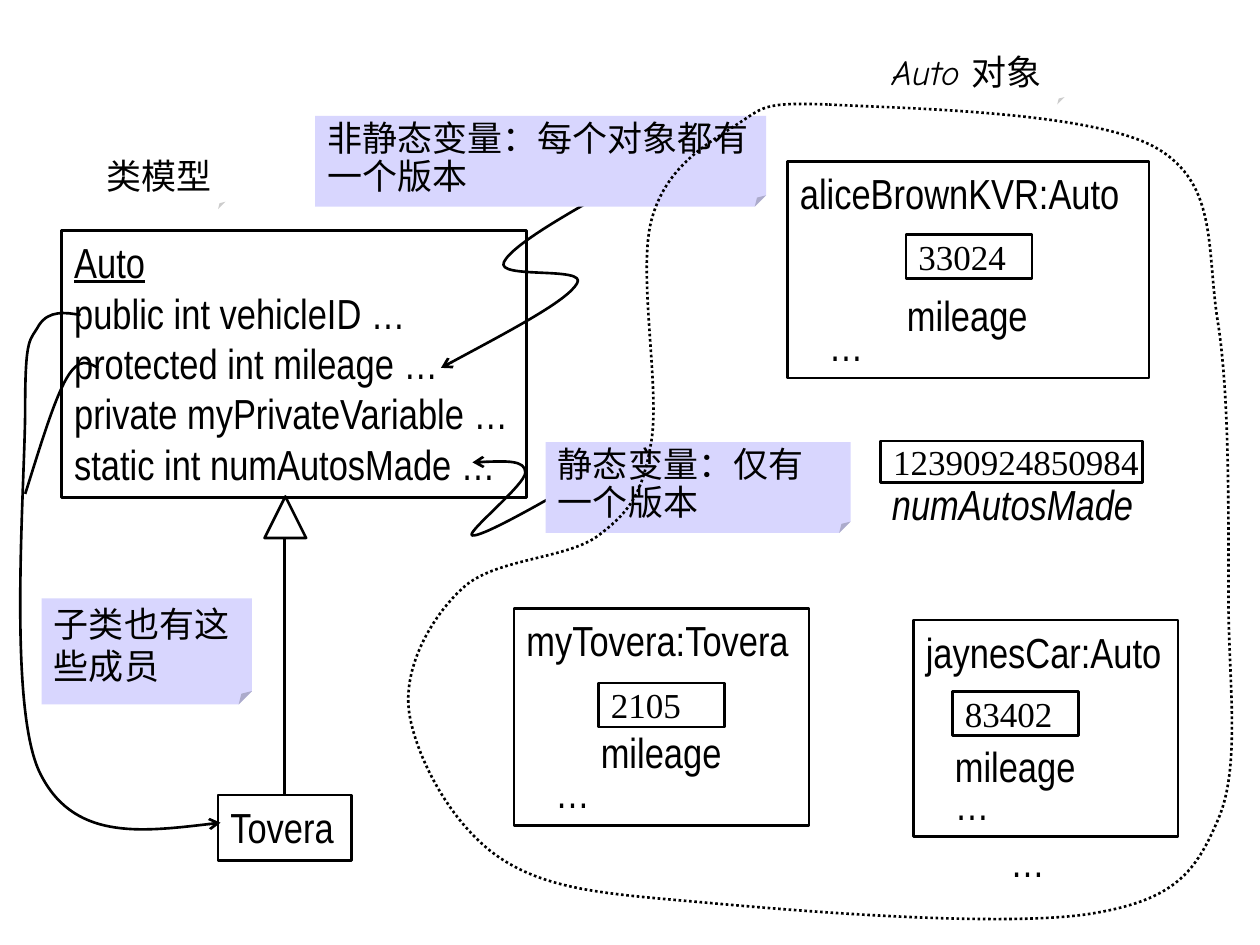
from dataclasses import dataclass, field
from typing import NamedTuple

from lxml.etree import SubElement
from pptx import Presentation
from pptx.dml.color import RGBColor
from pptx.enum.dml import MSO_LINE
from pptx.enum.shapes import MSO_CONNECTOR, MSO_SHAPE
from pptx.enum.text import MSO_ANCHOR, MSO_AUTO_SIZE, PP_ALIGN
from pptx.oxml.ns import qn
from pptx.util import Inches, Pt

BLACK, WHITE, LILAC = "000000", "FFFFFF", "D8D6FE"
CODE = {"name": "Arial Narrow", "size": Pt(24)}
VALUE = {"name": "Times New Roman", "size": Pt(20)}
COMIC = {"name": "Comic Neue", "size": Pt(20)}
PLAIN = {"name": "Calibri", "size": Pt(20)}
SLANT = {"italic": True}
UNDER = {"underline": True}

prs = Presentation()
prs.slide_width, prs.slide_height = Inches(10), Inches(7.5)
shapes = prs.slides.add_slide(prs.slide_layouts[6]).shapes


class Run(NamedTuple):
    text: str
    font: dict


class Car(NamedTuple):
    name: str
    box: tuple
    value: str
    slot: tuple
    label: tuple


@dataclass
class Note:
    box: tuple
    runs: list
    fill: str = LILAC
    wrap: bool = True
    tight: bool = False


@dataclass
class Curve:
    points: list = field(default_factory=list)
    arrow: bool = False
    dotted: bool = False


def color(code: str) -> RGBColor:
    return RGBColor.from_string(code)


def stroke(line, width: float = 1.5) -> None:
    line.color.rgb = color(BLACK)
    line.width = Pt(width)


def write(shape, lines: list, anchor=MSO_ANCHOR.TOP, wrap=False, grow=True) -> None:
    """Fill a shape with paragraphs, each given as a list of runs."""
    frame = shape.text_frame
    frame.word_wrap = wrap
    frame.auto_size = MSO_AUTO_SIZE.SHAPE_TO_FIT_TEXT if grow else MSO_AUTO_SIZE.NONE
    frame.vertical_anchor = anchor
    for n, runs in enumerate(lines):
        para = frame.add_paragraph() if n else frame.paragraphs[0]
        para.alignment = PP_ALIGN.LEFT
        for text, font in runs:
            run = para.add_run()
            run.text = text
            run.font.color.rgb = color(BLACK)
            for key, val in font.items():
                setattr(run.font, key, val)


def draw(kind, box: tuple, fill: str = "", lined: bool = True):
    shape = shapes.add_shape(kind, *map(Inches, box))
    shape.shadow.inherit = False
    if fill:
        shape.fill.solid()
        shape.fill.fore_color.rgb = color(fill)
    else:
        shape.fill.background()
    if lined:
        stroke(shape.line)
    else:
        shape.line.fill.background()
    return shape


def draw_box(box: tuple, lines: list):
    shape = draw(MSO_SHAPE.RECTANGLE, box)
    write(shape, lines)
    return shape


def draw_value(text: str, box: tuple) -> None:
    shape = draw(MSO_SHAPE.RECTANGLE, box)
    write(shape, [[Run(text, VALUE)]], MSO_ANCHOR.MIDDLE, grow=False)


def draw_label(text: str, box: tuple, font: dict = CODE) -> None:
    write(shapes.add_textbox(*map(Inches, box)), [[Run(text, font)]])


def draw_car(car: Car) -> None:
    shape = draw_box(car.box, [[Run(car.name, CODE)], [Run("…", CODE)]])
    dots = shape.text_frame.paragraphs[1]
    dots.space_before = Pt(58)
    dots._p.get_or_add_pPr().set("marL", str(Inches(0.23)))
    draw_label("mileage", car.label)
    draw_value(car.value, car.slot)


def draw_note(note: Note) -> None:
    shape = draw(MSO_SHAPE.FOLDED_CORNER, note.box, note.fill, lined=False)
    for guides in shape._element.xpath(".//a:avLst"):
        guides.clear()
        SubElement(guides, qn("a:gd"), name="adj", fmla="val 12500")
    write(shape, [note.runs], MSO_ANCHOR.MIDDLE, note.wrap)
    if note.tight:
        shape.text_frame.margin_bottom = 0
        shape.text_frame.paragraphs[0].line_spacing = 0.9


def draw_curve(curve: Curve) -> None:
    """Draw a cubic curve: a start, then three points for each segment."""
    start, *rest = [(Inches(x), Inches(y)) for x, y in curve.points]
    pen = shapes.build_freeform(*start)
    pen.add_line_segments(rest, close=curve.dotted)
    shape = pen.convert_to_shape()
    shape.shadow.inherit = False
    shape.fill.background()
    stroke(shape.line)
    if curve.dotted:
        shape.line.dash_style = MSO_LINE.ROUND_DOT
    steps = shape._element.xpath(".//a:lnTo")
    for n in range(0, len(steps), 3):
        bend = steps[n].makeelement(qn("a:cubicBezTo"))
        steps[n].addprevious(bend)
        for step in steps[n:n + 3]:
            bend.extend(list(step))
            step.getparent().remove(step)
    if curve.arrow:
        SubElement(shape.line._get_or_add_ln(), qn("a:tailEnd"), type="arrow")


cars = [
    Car("aliceBrownKVR:Auto", (6.25, 1.28, 2.87, 1.72),
        "33024", (7.19, 1.86, 1, 0.35), (7.1, 2.25, 1.16, 0.5)),
    Car("jaynesCar:Auto", (7.25, 4.92, 2.1, 1.72),
        "83402", (7.56, 5.49, 1, 0.35), (7.48, 5.83, 1.16, 0.5)),
    Car("myTovera:Tovera", (4.08, 4.83, 2.34, 1.72),
        "2105", (4.75, 5.42, 1, 0.35), (4.67, 5.72, 1.16, 0.5)),
]
notes = [
    Note((0.75, 1.19, 1.04, 0.47), [Run("类模型", COMIC)], WHITE, False),
    Note((6.98, 0.36, 1.47, 0.47),
         [Run("Auto ", COMIC | SLANT), Run("对象", PLAIN)], WHITE, False),
    Note((0.33, 4.75, 1.67, 0.84), [Run("子类也有这些成员", PLAIN)]),
    Note((4.33, 3.51, 2.42, 0.72), [Run("静态变量：仅有一个版本", PLAIN)], tight=True),
    Note((2.5, 0.92, 3.58, 0.72),
         [Run("非静态变量：每个对象都有一个版本", COMIC)], tight=True),
]
arrows = [
    Curve([(0.64, 2.5), (0.52, 2.48), (0.39, 2.46), (0.31, 2.58),
           (0.24, 2.71), (0.2, 2.65), (0.2, 3.24),
           (0.2, 3.83), (0.06, 5.57), (0.31, 6.12),
           (0.57, 6.67), (1.16, 6.6), (1.75, 6.53)], arrow=True),
    Curve([(5, 1.42), (4.53, 1.68), (4.07, 1.94), (4, 2.08),
           (3.93, 2.22), (4.67, 2.11), (4.58, 2.25),
           (4.5, 2.39), (4, 2.65), (3.5, 2.92)], arrow=True),
    Curve([(4.58, 3.83), (4.2, 4.05), (3.82, 4.26), (3.75, 4.25),
           (3.68, 4.24), (4.17, 3.85), (4.17, 3.75),
           (4.17, 3.65), (3.96, 3.66), (3.75, 3.67)], arrow=True),
]
branch = Curve([(0.78, 2.92), (0.7, 2.88), (0.63, 2.83), (0.53, 3),
                (0.43, 3.17), (0.32, 3.54), (0.2, 3.92)])
cloud = Curve([(6.58, 0.83), (7.14, 0.86), (8.65, 0.88), (9.17, 1.17),
               (9.68, 1.46), (9.57, 1.99), (9.67, 2.58), (9.76, 3.18), (9.75, 4.1), (9.75, 4.75),
               (9.75, 5.4), (9.85, 6.08), (9.67, 6.5), (9.49, 6.92), (9.33, 7.14), (8.67, 7.25),
               (8, 7.36), (6.44, 7.24), (5.67, 7.17), (4.89, 7.1), (4.4, 7.08), (4, 6.83),
               (3.6, 6.58), (3.31, 6.03), (3.25, 5.67), (3.19, 5.31), (3.42, 4.9), (3.67, 4.67),
               (3.92, 4.43), (4.5, 4.44), (4.75, 4.25), (5, 4.06), (5.1, 3.92), (5.17, 3.5),
               (5.24, 3.08), (5.06, 2.17), (5.17, 1.75), (5.28, 1.33), (5.6, 1.15), (5.83, 1),
               (6.07, 0.85), (6.03, 0.81), (6.58, 0.83)], dotted=True)
members = ["public int vehicleID …", "protected int mileage …",
           "private myPrivateVariable …", "static int numAutosMade …"]

draw_box((0.49, 1.83, 3.69, 2.12),
         [[Run("Auto", CODE | UNDER)], *[[Run(text, CODE)] for text in members]])
draw(MSO_SHAPE.ISOSCELES_TRIANGLE, (2.1, 3.94, 0.33, 0.33))
child = draw_box((1.73, 6.31, 1.06, 0.52), [[Run("Tovera", CODE)]])
link = shapes.add_connector(MSO_CONNECTOR.STRAIGHT, *map(Inches, (2.26, 4.28, 2.26, 6.31)))
link.end_connect(child, 0)
stroke(link.line)
SubElement(link._element.spPr, qn("a:effectLst"))

for car in cars:
    draw_car(car)
draw_label("numAutosMade", (6.98, 3.75, 2.12, 0.5), CODE | SLANT)
draw_value("12390924850984", (6.99, 3.5, 2.08, 0.33))
draw_label("…", (7.92, 6.58, 0.47, 0.5))
for arrow in arrows:
    draw_curve(arrow)
for note in notes:
    draw_note(note)
for curve in (branch, cloud):
    draw_curve(curve)

prs.save("out.pptx")
